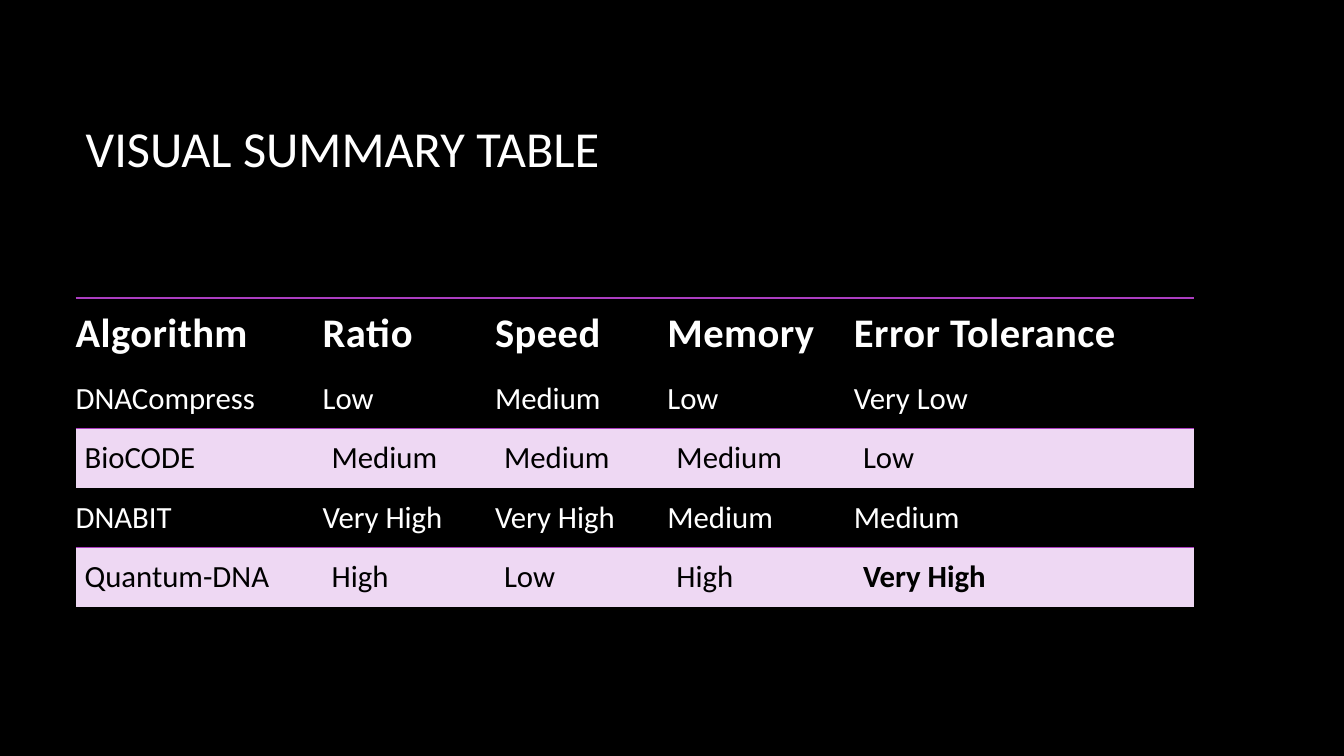
from dataclasses import dataclass

from lxml.etree import SubElement
from pptx import Presentation
from pptx.dml.color import RGBColor
from pptx.enum.text import MSO_ANCHOR, PP_ALIGN
from pptx.oxml.ns import qn
from pptx.util import Inches, Pt

TITLE = "VISUAL SUMMARY TABLE"
ROWS = [
    ("Algorithm", "Ratio", "Speed", "Memory", "Error Tolerance"),
    ("DNACompress", "Low", "Medium", "Low", "Very Low"),
    ("BioCODE", "Medium", "Medium", "Medium", "Low"),
    ("DNABIT", "Very High", "Very High", "Medium", "Medium"),
    ("Quantum-DNA", "High", "Low", "High", "Very High"),
]
BEST_CELL = (4, 4)
COLUMN_WIDTHS = (2.45, 1.71, 1.71, 1.85, 3.37)
HEADER_HEIGHT, ROW_HEIGHT = 0.7, 0.59
LEFT, WIDTH = 0.75, 11.08


@dataclass(frozen=True)
class Theme:
    """Colours, font and type sizes of the slide."""
    font: str = "Calibri"
    background: str = "000000"
    light: str = "FFFFFF"
    dark: str = "000000"
    band: str = "EED8F3"
    rule: str = "AC3EC1"
    title_size: int = 36
    header_size: int = 29
    cell_size: int = 22
    header_rule: float = 1.5
    band_rule: float = 0.75


THEME = Theme()


def style_text(para, size, color, bold=False):
    """Format every run of a paragraph."""
    para.alignment = PP_ALIGN.LEFT
    for span in para.runs:
        span.font.name = THEME.font
        span.font.size = Pt(size)
        span.font.bold = bold
        span.font.color.rgb = RGBColor.from_string(color)


def is_band(row):
    """Tell whether a row has the light fill."""
    return row > 0 and row % 2 == 0


def rule_above(row):
    """Return the width of the line above a row, zero for none."""
    if row == 0:
        return THEME.header_rule
    return THEME.band_rule if row < len(ROWS) and is_band(row) else 0


def add_border(cell, side, width):
    """Draw or clear one side of a cell."""
    line = SubElement(cell._tc.get_or_add_tcPr(), qn(f"a:{side}"))
    if width:
        line.set("w", str(Pt(width)))
        fill = SubElement(line, qn("a:solidFill"))
        SubElement(fill, qn("a:srgbClr"), val=THEME.rule)
    else:
        line.set("w", "0")
        SubElement(line, qn("a:noFill"))


def fill_cell(cell, row, column):
    """Write and format one table cell."""
    header, band = row == 0, is_band(row)
    for side, width in (("lnL", 0), ("lnR", 0),
                        ("lnT", rule_above(row)), ("lnB", rule_above(row + 1))):
        add_border(cell, side, width)
    if band:
        cell.fill.solid()
        cell.fill.fore_color.rgb = RGBColor.from_string(THEME.band)
    else:
        cell.fill.background()
    cell.vertical_anchor = MSO_ANCHOR.MIDDLE
    cell.margin_left = Inches(0.09 if band else 0)
    cell.margin_right = Inches(0.02 if header else 0.17)
    cell.margin_top = cell.margin_bottom = Inches(0.09)
    para = cell.text_frame.paragraphs[0]
    para.text = ROWS[row][column]
    style_text(para, THEME.header_size if header else THEME.cell_size,
               THEME.dark if band else THEME.light,
               header or (row, column) == BEST_CELL)
    if header:
        para.runs[0].font._element.set("spc", "30")


def add_title(page):
    """Place and format the title."""
    title = page.shapes.title
    title.left, title.top = Inches(LEFT), Inches(0.67)
    title.width, title.height = Inches(WIDTH), Inches(1.59)
    title.text_frame.text = TITLE
    title.text_frame.vertical_anchor = MSO_ANCHOR.MIDDLE
    style_text(title.text_frame.paragraphs[0], THEME.title_size, THEME.light)


def add_summary(page):
    """Build the comparison table."""
    heights = [HEADER_HEIGHT] + [ROW_HEIGHT] * (len(ROWS) - 1)
    table = page.shapes.add_table(
        len(ROWS), len(COLUMN_WIDTHS), Inches(LEFT), Inches(2.96),
        Inches(WIDTH), Inches(sum(heights))).table
    table.horz_banding = False
    for column, width in zip(table.columns, COLUMN_WIDTHS):
        column.width = Inches(width)
    for index, height in enumerate(heights):
        table.rows[index].height = Inches(height)
        for column in range(len(COLUMN_WIDTHS)):
            fill_cell(table.cell(index, column), index, column)


def main():
    """Build and save the deck."""
    deck = Presentation()
    deck.slide_width, deck.slide_height = Inches(13.33), Inches(7.5)
    page = deck.slides.add_slide(deck.slide_layouts[5])
    page.background.fill.solid()
    page.background.fill.fore_color.rgb = RGBColor.from_string(THEME.background)
    add_title(page)
    add_summary(page)
    deck.save("out.pptx")


if __name__ == "__main__":
    main()
